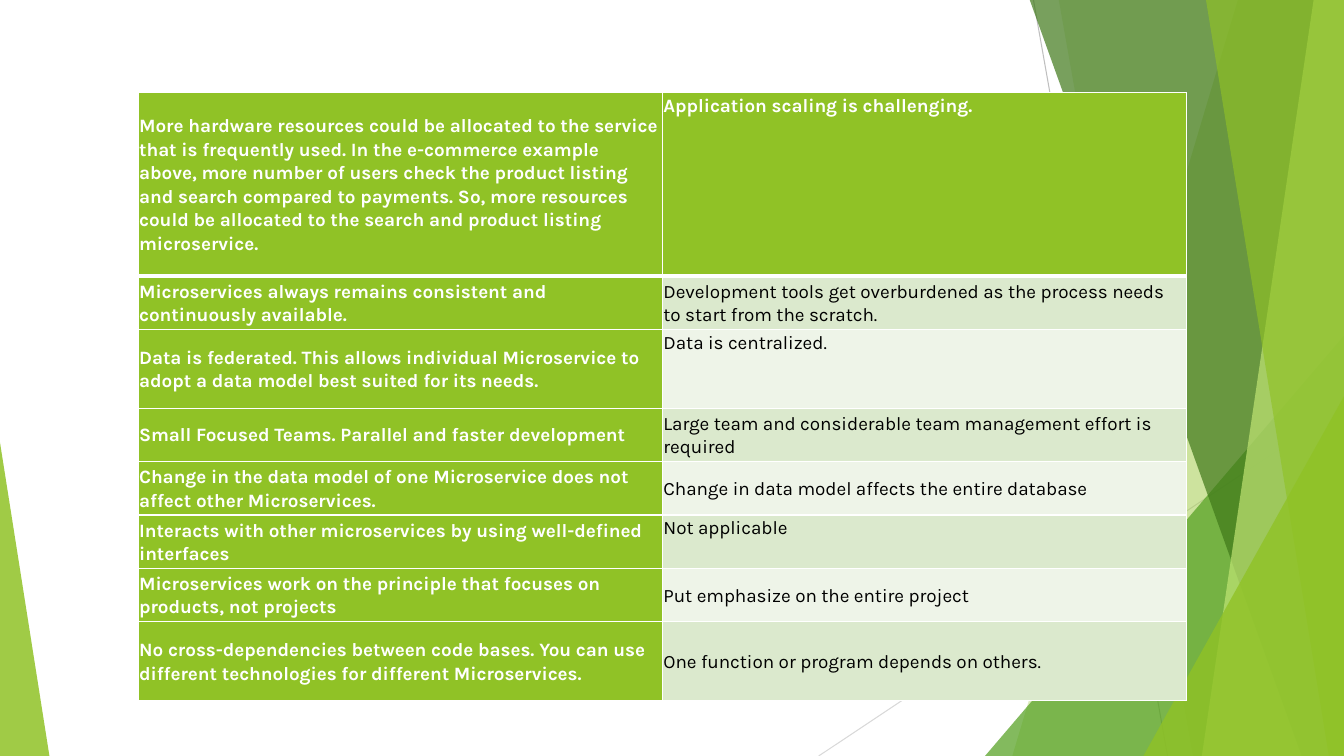
from dataclasses import dataclass

from lxml import etree
from pptx import Presentation
from pptx.dml.color import RGBColor
from pptx.enum.shapes import MSO_CONNECTOR, MSO_SHAPE
from pptx.enum.text import MSO_ANCHOR
from pptx.oxml.ns import qn
from pptx.util import Inches, Pt

STRAIGHT = MSO_CONNECTOR.STRAIGHT
TRIANGLE = MSO_SHAPE.ISOSCELES_TRIANGLE
TOP, MIDDLE = MSO_ANCHOR.TOP, MSO_ANCHOR.MIDDLE
BLANK_LAYOUT = 6


@dataclass(frozen=True)
class Theme:
    font: str = "Karla"
    text_size: float = 13.5
    line_spacing: float = 1.07
    space_after: float = 8
    cell_margin: float = 0.01
    line_width: float = 0.75
    border_width: float = 1
    header_border_width: float = 3
    white: str = "FFFFFF"
    black: str = "000000"
    green: str = "90C226"
    mid_green: str = "54A021"
    dark_green: str = "3F7819"
    light_green: str = "C0E474"
    gray: str = "BFBFBF"
    light_gray: str = "D9D9D9"
    bands: tuple = ("EEF4E8", "DBE9CD")


THEME = Theme()
SLIDE_WIDTH, SLIDE_HEIGHT = 13.33, 7.5
FACET_TOP = -0.01

ROW_HEIGHTS = [1.82, 0.53, 0.78, 0.53, 0.53, 0.53, 0.53, 0.78]
# Microservice text, monolith text, anchor of the monolith cell
COMPARISON = [
    ("More hardware resources could be allocated to the service that is frequently used. "
     "In the e-commerce example above, more number of users check the product listing and "
     "search compared to payments. So, more resources could be allocated to the search and "
     "product listing microservice.",
     "Application scaling is challenging.", TOP),
    ("Microservices always remains consistent and continuously available.",
     "Development tools get overburdened as the process needs to start from the scratch.", MIDDLE),
    ("Data is federated. This allows individual Microservice to adopt a data model best "
     "suited for its needs.",
     "Data is centralized.", TOP),
    ("Small Focused Teams. Parallel and faster development",
     "Large team and considerable team management effort is required", MIDDLE),
    ("Change in the data model of one Microservice does not affect other Microservices.",
     "Change in data model affects the entire database", MIDDLE),
    ("Interacts with other microservices by using well-defined interfaces",
     "Not applicable", TOP),
    ("Microservices work on the principle that focuses on products, not projects",
     "Put emphasize on the entire project", MIDDLE),
    ("No cross-dependencies between code bases. You can use different technologies for "
     "different Microservices.",
     "One function or program depends on others.", MIDDLE),
]


class SlideBuilder:
    def __init__(self, slide, theme):
        self.slide = slide
        self.theme = theme

    def line(self, start, end, color):
        points = [Inches(value) for value in (*start, *end)]
        connector = self.slide.shapes.add_connector(STRAIGHT, *points)
        connector.line.color.rgb = RGBColor.from_string(color)
        connector.line.width = Pt(self.theme.line_width)
        etree.SubElement(connector._element.spPr, qn("a:effectLst"))

    def paint(self, shape, color, opacity):
        """Give the shape a translucent fill without outline or shadow."""
        shape.shadow.inherit = False
        shape.line.fill.background()
        shape.fill.solid()
        shape.fill.fore_color.rgb = RGBColor.from_string(color)
        color_element = shape._element.spPr.find(qn("a:solidFill"))[0]
        etree.SubElement(color_element, qn("a:alpha"), val=str(opacity * 1000))

    def facet(self, top_x, bottom_x, color, opacity):
        """Draw a slanted panel reaching to the right edge of the slide."""
        corners = [(Inches(x), Inches(y)) for x, y in (
            (top_x, FACET_TOP), (SLIDE_WIDTH, FACET_TOP),
            (SLIDE_WIDTH, SLIDE_HEIGHT), (bottom_x, SLIDE_HEIGHT))]
        builder = self.slide.shapes.build_freeform(*corners[0])
        builder.add_line_segments(corners[1:], close=True)
        self.paint(builder.convert_to_shape(), color, opacity)

    def corner_triangle(self, left, width, height, apex, color, opacity):
        """Draw a right triangle standing on the bottom edge of the slide."""
        shape = self.slide.shapes.add_shape(
            TRIANGLE, Inches(left), Inches(SLIDE_HEIGHT - height), Inches(width), Inches(height))
        shape.adjustments[0] = apex
        self.paint(shape, color, opacity)

    def borders(self, cell, top_width, bottom_width):
        properties = cell._tc.get_or_add_tcPr()
        side_width = self.theme.border_width
        for side, width in zip("LRTB", (side_width, side_width, top_width, bottom_width)):
            border = etree.SubElement(properties, qn(f"a:ln{side}"), w=str(Pt(width)))
            fill = etree.SubElement(border, qn("a:solidFill"))
            etree.SubElement(fill, qn("a:srgbClr"), val=self.theme.white)

    def cell(self, cell, text, fill, color, bold, anchor):
        theme = self.theme
        cell.fill.solid()
        cell.fill.fore_color.rgb = RGBColor.from_string(fill)
        cell.vertical_anchor = anchor
        margin = Inches(theme.cell_margin)
        cell.margin_left = cell.margin_right = margin
        cell.margin_top = cell.margin_bottom = margin
        cell.text = text
        paragraph = cell.text_frame.paragraphs[0]
        paragraph.line_spacing = theme.line_spacing
        paragraph.space_after = Pt(theme.space_after)
        paragraph.font.name = theme.font
        paragraph.font.size = Pt(theme.text_size)
        paragraph.font.bold = bold
        paragraph.font.color.rgb = RGBColor.from_string(color)

    def comparison_table(self, left, top, column_width, row_heights, rows):
        theme = self.theme
        table = self.slide.shapes.add_table(
            len(rows), 2, Inches(left), Inches(top),
            Inches(2 * column_width), Inches(sum(row_heights))).table
        table.first_row = table.horz_banding = False
        for column in table.columns:
            column.width = Inches(column_width)
        for index, (microservice, monolith, anchor) in enumerate(rows):
            table.rows[index].height = Inches(row_heights[index])
            top_width = theme.header_border_width if index == 1 else theme.border_width
            bottom_width = theme.header_border_width if index == 0 else theme.border_width
            left_cell, right_cell = table.cell(index, 0), table.cell(index, 1)
            for cell in (left_cell, right_cell):
                self.borders(cell, top_width, bottom_width)
            self.cell(left_cell, microservice, theme.green, theme.white, True, MIDDLE)
            is_header = index == 0
            self.cell(right_cell, monolith,
                      theme.green if is_header else theme.bands[index % 2],
                      theme.white if is_header else theme.black, is_header, anchor)


def main():
    presentation = Presentation()
    presentation.slide_width = Inches(SLIDE_WIDTH)
    presentation.slide_height = Inches(SLIDE_HEIGHT)
    slide = presentation.slides.add_slide(presentation.slide_layouts[BLANK_LAYOUT])
    builder = SlideBuilder(slide, THEME)

    builder.line((10.25, 0), (11.58, SLIDE_HEIGHT), THEME.gray)
    builder.line((SLIDE_WIDTH, 4.03), (8.12, SLIDE_HEIGHT), THEME.light_gray)
    builder.facet(12.28, 10.04, THEME.green, 30)
    builder.facet(10.5, 11.83, THEME.green, 20)
    builder.corner_triangle(9.77, 3.56, 4.17, 1, THEME.mid_green, 72)
    builder.facet(10.21, 12.91, THEME.dark_green, 70)
    builder.facet(13.03, 11.92, THEME.light_green, 70)
    builder.facet(11.96, 13.18, THEME.green, 65)
    builder.corner_triangle(11.34, 1.99, 3.57, 1, THEME.green, 80)
    builder.corner_triangle(0, 0.49, 3.11, 0, THEME.green, 85)
    builder.comparison_table(1.37, 0.92, 5.2, ROW_HEIGHTS, COMPARISON)

    presentation.save("out.pptx")


if __name__ == "__main__":
    main()
